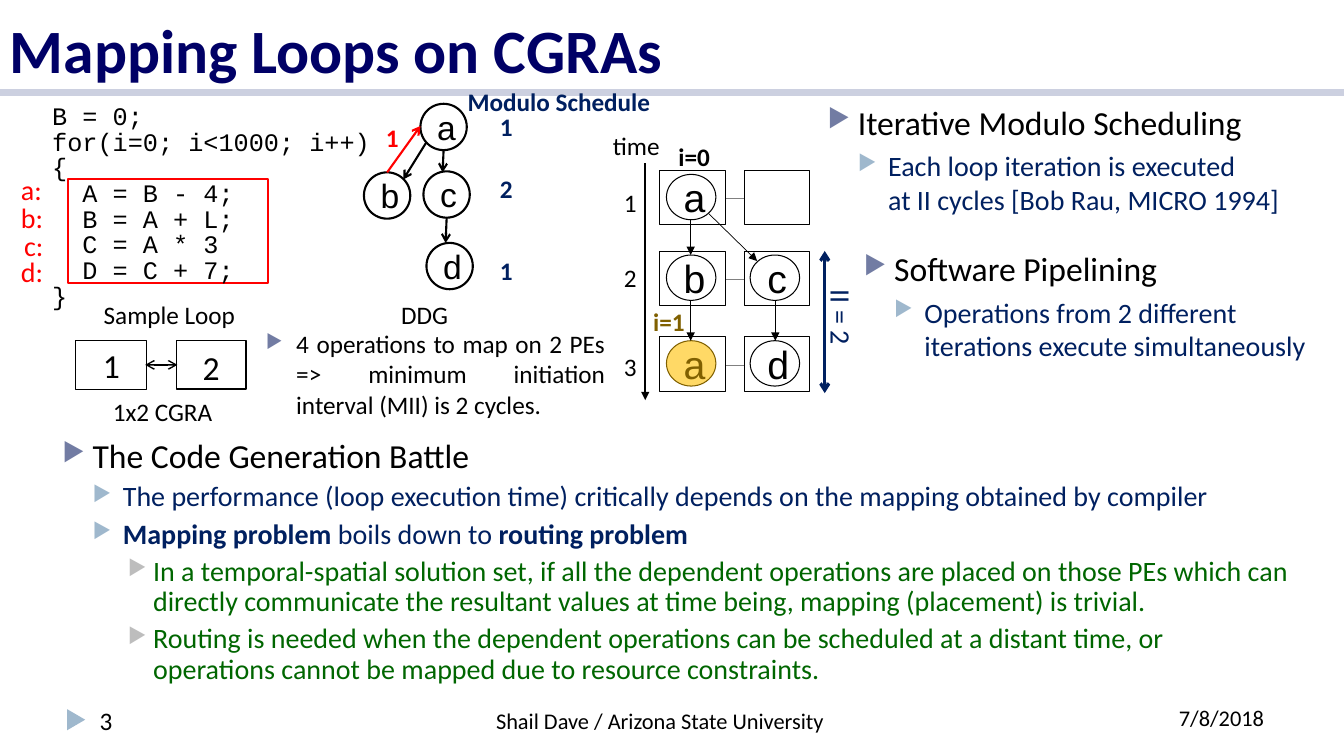
import lxml.etree
import pptx
import pptx.dml.color
import pptx.enum.shapes
import pptx.enum.text
import pptx.oxml.ns
import pptx.util

PX = 9144  # EMU per px, 100 px to the inch
RGBColor = pptx.dml.color.RGBColor
BLACK = RGBColor(0x00, 0x00, 0x00)
WHITE = RGBColor(0xFF, 0xFF, 0xFF)
GRAY = RGBColor(0x80, 0x80, 0x80)
RED = RGBColor(0xFF, 0x00, 0x00)
NAVY = RGBColor(0x00, 0x20, 0x60)
TITLE_BLUE = RGBColor(0x00, 0x00, 0x66)
GREEN = RGBColor(0x00, 0x66, 0x00)
GOLD = RGBColor(0xFF, 0xD9, 0x66)
BROWN = RGBColor(0x80, 0x60, 0x00)
RULE = RGBColor(0xCC, 0xD0, 0xE0)
SLATE = RGBColor(0x72, 0x7C, 0xA3)
SKY = RGBColor(0x9F, 0xB8, 0xCD)
SILVER = RGBColor(0xBD, 0xBD, 0xBD)

ALIGN = pptx.enum.text.PP_ALIGN
ANCHOR = pptx.enum.text.MSO_ANCHOR
SHAPE = pptx.enum.shapes.MSO_SHAPE
STRAIGHT = pptx.enum.shapes.MSO_CONNECTOR.STRAIGHT
Pt = pptx.util.Pt
qn = pptx.oxml.ns.qn

deck = pptx.Presentation()
deck.slide_width = 1333 * PX
deck.slide_height = 750 * PX
page = deck.slides.add_slide(deck.slide_layouts[6])


def label(text, left, top, width, height=40, size=18, color=BLACK, bold=False,
          font="Calibri", align=ALIGN.LEFT, wrap=False, spacing=None):
    box = page.shapes.add_textbox(left * PX, top * PX, width * PX, height * PX)
    box.text_frame.text = text
    box.text_frame.word_wrap = wrap
    for para in box.text_frame.paragraphs:
        para.alignment = align
        para.line_spacing = spacing
        for span in para.runs:
            span.font.name = font
            span.font.size = Pt(size)
            span.font.bold = bold
            span.font.color.rgb = color
    return box


def line(x1, y1, x2, y2, color=BLACK, weight=1.5, head=None, tail=None):
    """Draw a straight line; head is the arrowhead at its start, tail at its end."""
    connector = page.shapes.add_connector(STRAIGHT, x1 * PX, y1 * PX, x2 * PX, y2 * PX)
    connector.line.color.rgb = color
    connector.line.width = Pt(weight)
    properties = connector._element.spPr
    for tag, kind in (("a:headEnd", head), ("a:tailEnd", tail)):
        if kind:
            lxml.etree.SubElement(properties.find(qn("a:ln")), qn(tag), type=kind)
    lxml.etree.SubElement(properties, qn("a:effectLst"))


# Title and footer
line(0, 92, 1333, 92, RULE, 5)
title = label("Mapping Loops on CGRAs", 0, 0, 1333, 90, 44, TITLE_BLUE, True, wrap=True)
title.text_frame.vertical_anchor = ANCHOR.BOTTOM
label("Shail Dave / Arizona State University", 480, 697, 349, 37, 16, align=ALIGN.CENTER)
label("7/8/2018", 1140, 694, 143, size=16, align=ALIGN.CENTER, wrap=True)
label("3", 89, 695, 188, wrap=True)

# Outlined shapes: kind, left, top, width, height, fill, outline, weight, letter, size
shapes = [
    (SHAPE.ISOSCELES_TRIANGLE, 65, 705, 21, 18, SKY, None, 0, "", 0),
    (SHAPE.RECTANGLE, 67, 178, 199, 103, None, RED, 1.5, "", 0),
    (SHAPE.RECTANGLE, 75, 338, 70, 48, None, BLACK, 0.75, "", 0),
    (SHAPE.RECTANGLE, 175, 338, 69, 48, None, BLACK, 1, "", 0),
]
for letter, left, top in (("a", 417, 103), ("b", 361, 171), ("c", 420, 170), ("d", 423, 241)):
    shapes.append((SHAPE.OVAL, left, top, 46, 46, WHITE, BLACK, 1.5, letter, 24))

schedule = ((169, "a", ""), (249, "b", "c"), (334, "a", "d"))
for row, (top, *letters) in enumerate(schedule):
    line(719, top + 28, 738, top + 28, GRAY, 0.5)
    for column, letter in enumerate(letters):
        shapes.append((SHAPE.RECTANGLE, 654 + 84 * column, top, 65, 54,
                       WHITE, BLACK, 0.5, "", 0))
        if letter:
            next_iteration = row == 2 and column == 0
            shapes.append((SHAPE.OVAL, 661 + 83 * column, top + 4, 49, 45,
                           GOLD if next_iteration else WHITE,
                           BROWN if next_iteration else BLACK, 0.75, letter, 28))

for kind, left, top, width, height, fill, outline, weight, letter, size in shapes:
    shape = page.shapes.add_shape(kind, left * PX, top * PX, width * PX, height * PX)
    shape.shadow.inherit = False
    if fill is None:
        shape.fill.background()
    else:
        shape.fill.solid()
        shape.fill.fore_color.rgb = fill
    if outline is None:
        shape.line.fill.background()
    else:
        shape.line.color.rgb = outline
        shape.line.width = Pt(weight)
    if kind == SHAPE.ISOSCELES_TRIANGLE:
        shape.rotation = 90
    if letter:
        shape.text_frame.text = letter
        para = shape.text_frame.paragraphs[0]
        para.alignment = ALIGN.CENTER
        para.font.name = "Arial"
        para.font.size = Pt(size)
        para.font.color.rgb = outline

# Sample loop
label("B = 0;\nfor(i=0; i<1000; i++)\n{\n  A = B - 4;\n  B = A + L;\n  C = A * 3\n  D = C + 7;\n}",
      42, 99, 376, 216, font="Courier New", wrap=True, spacing=0.85)
for text, left, top in (("a:", 11, 166), ("b:", 11, 194), ("c:", 14, 222), ("d:", 11, 248)):
    label(text, left, top, 60, 44, 20, RED, wrap=True)
label("Sample Loop", 93, 292, 154)

# 1x2 CGRA
label("1", 92, 337, 37, 50, 24, align=ALIGN.CENTER)
label("2", 191, 339, 37, 50, 24, align=ALIGN.CENTER)
line(144, 362, 176, 362, weight=1, head="arrow", tail="arrow")
label("1x2 CGRA", 102, 388, 122)

# Data dependency graph
for ends in ((423, 141, 400, 178), (440, 148, 439, 171), (443, 216, 442, 241)):
    line(*ends, tail="arrow")
line(384, 171, 417, 125, RED, tail="arrow")
label("1", 373, 116, 53, color=RED, bold=True, wrap=True)
label("DDG", 388, 292, 67)
label("Modulo Schedule", 454, 81, 203, color=NAVY, bold=True)
for text, top in (("1", 106), ("2", 167), ("1", 248)):
    label(text, 486, top, 33, color=NAVY, bold=True)

# Schedule over time
for ends in ((685, 218, 685, 253), (703, 212, 751, 259),
             (769, 298, 769, 338), (685, 298, 685, 338)):
    line(*ends, weight=0.5, tail="triangle")
line(640, 162, 640, 397, tail="triangle")
label("time", 598, 124, 68)
for text, top in (("1", 181), ("2", 255), ("3", 344)):
    label(text, 609, top, 33)
label("i=0", 663, 135, 64, bold=True, wrap=True)
label("i=1", 638, 299, 68, color=BROWN, bold=True, wrap=True)
line(818, 249, 818, 390, NAVY, 2.25, "arrow", "arrow")
label("II = 2", 794, 296, 81, 44, 20, NAVY, wrap=True).rotation = 90

# Bulleted text; in a paragraph of several pieces every other piece is bold
levels = (
    # margin, hanging indent, bullet colour, text colour, size
    (30, 30, SLATE, BLACK, 24),
    (60, 30, SKY, NAVY, 20),
    (90, 25, SILVER, GREEN, 20),
)
outlines = (
    (811, 96, 513, 127, 1.0, (
        (0, "Iterative Modulo Scheduling"),
        (1, "Each loop iteration is executed\vat II cycles [Bob Rau, MICRO 1994]"))),
    (847, 241, 475, 127, 1.0, (
        (0, "Software Pipelining"),
        (1, "Operations from 2 different iterations execute simultaneously"))),
    (254, 321, 356, 119, 1.0, (
        (0, "4 operations to map on 2 PEs => minimum initiation interval (MII) is 2 cycles."),)),
    (52, 431, 1239, 255, 0.9, (
        (0, "The Code Generation Battle"),
        (1, "The performance (loop execution time) critically depends on the mapping "
            "obtained by compiler"),
        (1, "Mapping problem", " boils down to ", "routing problem"),
        (2, "In a temporal-spatial solution set, if all the dependent operations are placed "
            "on those PEs which can directly communicate the resultant values at time being, "
            "mapping (placement) is trivial."),
        (2, "Routing is needed when the dependent operations can be scheduled at a distant "
            "time, or operations cannot be mapped due to resource constraints."))),
)
for left, top, width, height, spacing, items in outlines:
    frame = label("", left, top, width, height, wrap=True).text_frame
    single = len(items) == 1
    for index, (level, *pieces) in enumerate(items):
        margin, hanging, bullet_color, color, size = levels[level]
        para = frame.add_paragraph() if index else frame.paragraphs[0]
        para.text = pieces[0]
        for piece in pieces[1:]:
            para.add_run().text = piece
        para.level = level
        para.alignment = ALIGN.JUSTIFY if single else ALIGN.LEFT
        para.line_spacing = spacing
        para.space_before = Pt(5 if index else 0)
        properties = para._p.get_or_add_pPr()
        properties.set("marL", str(margin * PX))
        properties.set("indent", str(-hanging * PX))
        bullet = lxml.etree.SubElement(properties, qn("a:buClr"))
        lxml.etree.SubElement(bullet, qn("a:srgbClr"), val=str(bullet_color))
        lxml.etree.SubElement(properties, qn("a:buSzPct"), val="76000")
        lxml.etree.SubElement(properties, qn("a:buChar"), char="▶")
        for position, span in enumerate(para.runs):
            span.font.name = "Calibri"
            span.font.size = Pt(18 if single else size)
            span.font.color.rgb = color
            span.font.bold = len(pieces) > 1 and position % 2 == 0

deck.save("out.pptx")
